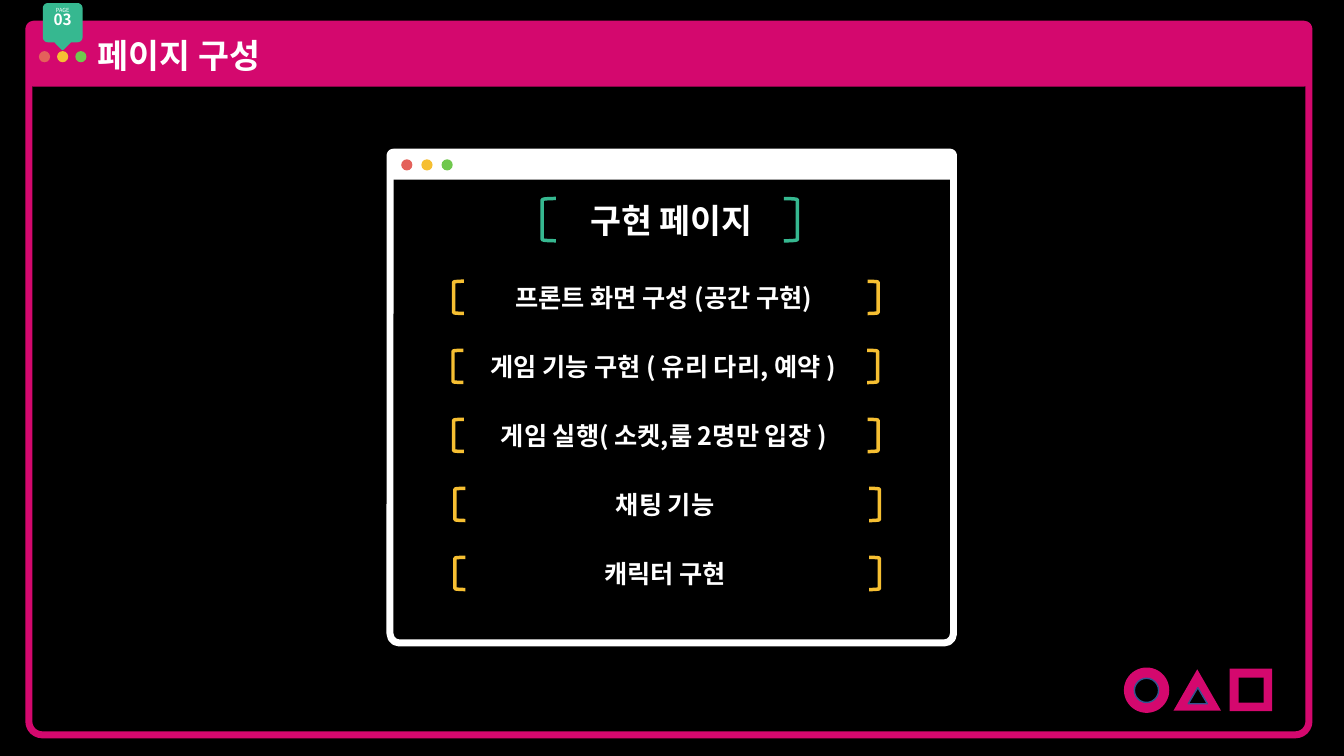
import math

from pptx import Presentation
from pptx.dml.color import RGBColor
from pptx.enum.shapes import MSO_SHAPE
from pptx.enum.text import MSO_ANCHOR, PP_ALIGN
from pptx.util import Pt

OVAL = MSO_SHAPE.OVAL
TRIANGLE = MSO_SHAPE.ISOSCELES_TRIANGLE
RECTANGLE = MSO_SHAPE.RECTANGLE
ROUNDED = MSO_SHAPE.ROUNDED_RECTANGLE
FRAME = MSO_SHAPE.ROUND_2_SAME_RECTANGLE
BRACKET = MSO_SHAPE.LEFT_BRACKET
MIDDLE = MSO_ANCHOR.MIDDLE
TOP = MSO_ANCHOR.TOP
CENTER = PP_ALIGN.CENTER
LEFT = PP_ALIGN.LEFT

FONT = "Noto Sans CJK KR"
COLORS = {
    "black": "000000",
    "white": "FFFFFF",
    "pink": "D4086E",
    "green": "36B890",
    "red": "E4615B",
    "yellow": "F6BF32",
    "lime": "70C84E",
    "navy": "325491",
}
FEATURES = [
    ("프론트 화면 구성 (공간 구현)", 0),
    ("게임 기능 구현 ( 유리 다리, 예약 )", -0.4),
    ("게임 실행( 소켓,룸 2명만 입장 )", 0),
    ("채팅 기능", 1),
    ("캐릭터 구현", 1),
]


def color(name):
    return RGBColor.from_string(COLORS[name])


def paint(shape, fill=None, line=None, weight=1):
    shape.shadow.inherit = False
    if fill:
        shape.fill.solid()
        shape.fill.fore_color.rgb = color(fill)
    else:
        shape.fill.background()
    if line:
        shape.line.color.rgb = color(line)
        shape.line.width = Pt(weight)
    else:
        shape.line.fill.background()


def add_part(page, kind, box, fill=None, line=None, weight=1):
    shape = page.shapes.add_shape(kind, *(Pt(length) for length in box))
    paint(shape, fill, line, weight)
    return shape


def write(shape, text, sizes, align, anchor, bold=True):
    frame = shape.text_frame
    frame.word_wrap = True
    frame.vertical_anchor = anchor
    frame.margin_left = frame.margin_right = 0
    frame.margin_top = frame.margin_bottom = 0
    frame.text = text
    for para, size in zip(frame.paragraphs, sizes):
        para.alignment = align
        for span in para.runs:
            span.font.name = FONT
            span.font.size = Pt(size)
            span.font.bold = bold
            span.font.color.rgb = color("white")
    return frame


def add_window(page, box, bar_height, overhang, tint):
    left, top, width, height = box
    frame = add_part(page, FRAME, box, line=tint, weight=5)
    frame.adjustments[0] = 0.007
    frame.adjustments[1] = 0.019
    bar_box = (left - overhang, top, width + 2 * overhang, bar_height)
    bar = add_part(page, ROUNDED, bar_box, fill=tint)
    bar.adjustments[0] = 0.121
    return bar


def add_dots(page, left, top, step):
    for index, tint in enumerate(("red", "yellow", "lime")):
        add_part(page, OVAL, (left + index * step, top, 8, 8), fill=tint)


def add_badge(page, box):
    left, top, width, height = box
    body, radius, tail = 28, 3.6, 6
    right, bottom, middle = left + width, top + body, left + width / 2

    def corner(x, y, start):
        angles = [math.radians(start + step * 15) for step in range(7)]
        return [(x + radius * math.cos(a), y + radius * math.sin(a)) for a in angles]

    points = corner(left + radius, top + radius, 180)
    points += corner(right - radius, top + radius, 270)
    points += corner(right - radius, bottom - radius, 0)
    points += [(middle + tail, bottom), (middle + 1, top + height - 0.5),
               (middle, top + height), (middle - 1, top + height - 0.5),
               (middle - tail, bottom)]
    points += corner(left + radius, bottom - radius, 90)
    outline = [(Pt(x), Pt(y)) for x, y in points]
    builder = page.shapes.build_freeform(*outline[0])
    builder.add_line_segments(outline[1:], close=True)
    badge = builder.convert_to_shape()
    paint(badge, fill="green")
    frame = write(badge, "PAGE\n03", (4, 11), CENTER, TOP)
    frame.margin_top = Pt(2.5)
    label, number = frame.paragraphs
    label.runs[0].font.bold = False
    number.line_spacing = 0.82


def add_bracketed(page, box, text, size, tint, nudge):
    left, top, width, height = box
    arm = height / 3.1
    for x, turn in ((left + width - arm, 180), (left, 0)):
        bracket = add_part(page, BRACKET, (x, top, arm, height), line=tint, weight=2.5)
        bracket.rotation = turn
    label_box = (left + nudge, top, width, height)
    label = page.shapes.add_textbox(*(Pt(length) for length in label_box))
    write(label, text, (size,), CENTER, MIDDLE)


def add_symbols(page, left, top):
    symbols = [
        (OVAL, (0, 0, 32.4, 32.4), (7.5, 7.7, 17.3, 17.3), "navy"),
        (TRIANGLE, (35.4, 1.3, 34, 29.6), (46, 14.4, 13.6, 11.5), "navy"),
        (RECTANGLE, (75.5, 0.8, 30.4, 30.4), (81.9, 7.2, 18, 18), None),
    ]
    for kind, outer, inner, edge in symbols:
        for (x, y, width, height), fill, line in ((outer, "pink", None), (inner, "black", edge)):
            add_part(page, kind, (left + x, top + y, width, height), fill, line)


def add_page_frame(page, box):
    left, top, _, _ = box
    bar = add_window(page, box, 44.6, 1.9, "pink")
    frame = write(bar, "페이지 구성", (24,), LEFT, MIDDLE)
    frame.margin_left = Pt(49.7)
    add_badge(page, (left + 10, top - 15.1, 28.4, 33.6))
    add_dots(page, left + 7.2, top + 19.2, 13)


def add_feature_window(page, box):
    left, top, _, _ = box
    add_window(page, box, 19.6, 0.9, "white")
    add_dots(page, left + 8, top + 5.1, 14.4)
    add_bracketed(page, (left + 108.7, top + 33.1, 182.3, 30.2),
                  "구현 페이지", 24, "green", 1)
    for index, (text, shift) in enumerate(FEATURES):
        row = (left + 45.4 + shift, top + 92.2 + index * 49.3, 303.2, 23)
        add_bracketed(page, row, text, 18, "yellow", -1.5)


def main():
    deck = Presentation()
    deck.slide_width = Pt(960)
    deck.slide_height = Pt(540)
    page = deck.slides.add_slide(deck.slide_layouts[6])
    page.background.fill.solid()
    page.background.fill.fore_color.rgb = color("black")
    add_page_frame(page, (20.6, 17.3, 914.4, 507.6))
    add_feature_window(page, (278.6, 108.7, 402.5, 350.6))
    add_symbols(page, 802.8, 476.8)
    deck.save("out.pptx")


if __name__ == "__main__":
    main()
